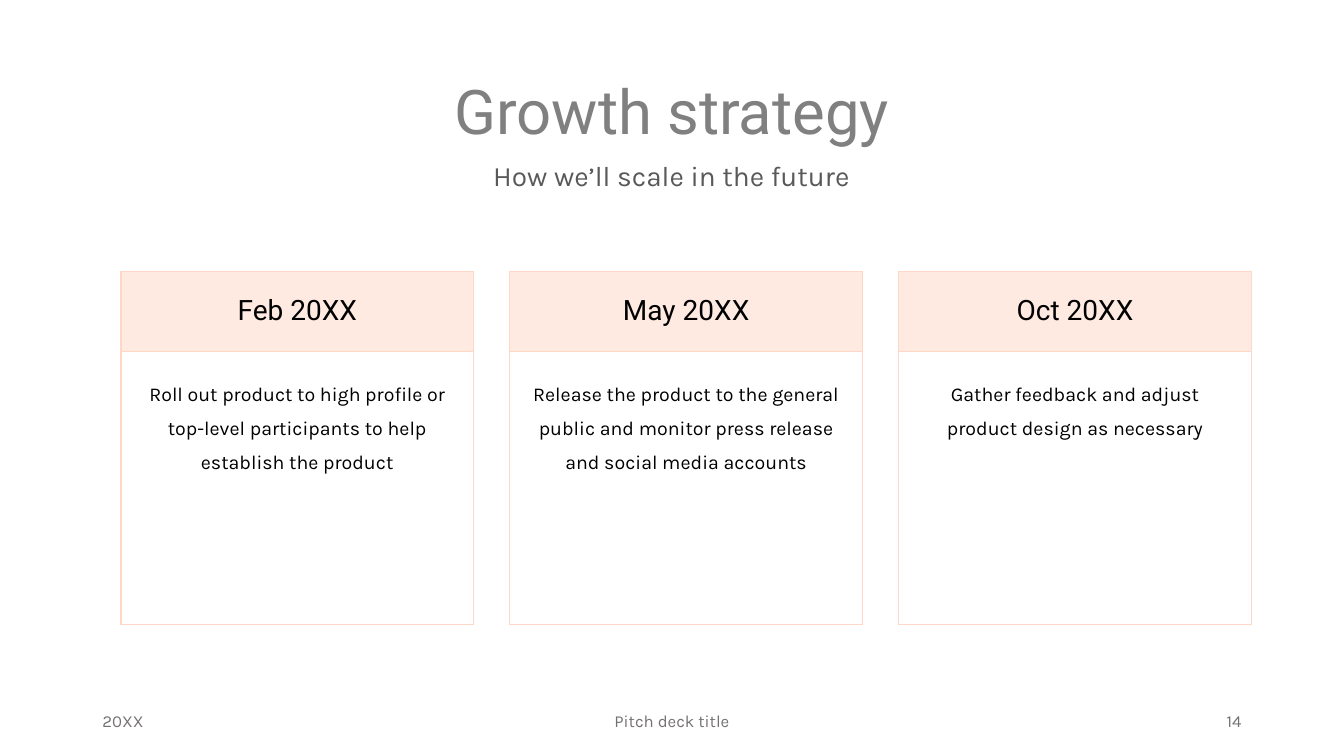
"""Builds the growth strategy slide with three dated milestones."""
from dataclasses import dataclass

from lxml.etree import SubElement
from pptx import Presentation
from pptx.dml.color import RGBColor
from pptx.enum.shapes import MSO_SHAPE
from pptx.enum.text import MSO_ANCHOR, MSO_AUTO_SIZE, PP_ALIGN
from pptx.oxml.ns import qn
from pptx.util import Cm, Pt


@dataclass(frozen=True)
class Theme:
    heading_font: str = "Roboto"
    text_font: str = "Karla"
    title_color: str = "808080"
    subtitle_color: str = "595959"
    card_color: str = "000000"
    footer_color: str = "767171"
    accent: str = "FFD7C7"
    accent_alpha: int = 50
    title_size: int = 44
    heading_size: int = 20
    card_size: int = 14
    footer_size: int = 12
    border: float = 0.75


class GrowthSlide:
    def __init__(self, deck, theme):
        self.theme = theme
        self.slide = deck.slides.add_slide(deck.slide_layouts[1])

    def place(self, item, box):
        for side, length in zip(("left", "top", "width", "height"), box):
            setattr(item, side, Cm(length))

    def set_text(self, item, text, font, size, color, align=PP_ALIGN.CENTER,
                 anchor=MSO_ANCHOR.TOP, spacing=0.9, insets=(0.25, 0.13, 0.25, 0.13)):
        frame = item.text_frame
        frame_format = {"word_wrap": True, "auto_size": MSO_AUTO_SIZE.NONE,
                        "vertical_anchor": anchor}
        for side, inset in zip(("left", "top", "right", "bottom"), insets):
            frame_format[f"margin_{side}"] = Cm(inset)
        for name, value in frame_format.items():
            setattr(frame, name, value)
        frame.text = text
        paragraph = frame.paragraphs[0]
        paragraph_format = {"alignment": align, "line_spacing": spacing,
                            "space_before": Pt(0)}
        for name, value in paragraph_format.items():
            setattr(paragraph, name, value)
        run_font = paragraph.runs[0].font
        for name, value in {"name": font, "size": Pt(size), "bold": False}.items():
            setattr(run_font, name, value)
        run_font.color.rgb = RGBColor.from_string(color)
        return paragraph

    def title(self, text, box):
        heading = self.slide.shapes.title
        self.place(heading, box)
        self.set_text(heading, text, self.theme.heading_font, self.theme.title_size,
                      self.theme.title_color, anchor=MSO_ANCHOR.BOTTOM,
                      insets=(0.25, 0.13, 0.25, 0.25))

    def subtitle(self, text, box):
        tagline = self.slide.placeholders[1]
        self.place(tagline, box)
        paragraph = self.set_text(tagline, text, self.theme.text_font,
                                  self.theme.heading_size, self.theme.subtitle_color)
        properties = paragraph._p.get_or_add_pPr()
        for name in ("marL", "indent"):
            properties.set(name, "0")
        SubElement(properties, qn("a:buNone"))

    def panel(self, box, filled):
        panel = self.slide.shapes.add_shape(MSO_SHAPE.RECTANGLE, *map(Cm, box))
        accent = RGBColor.from_string(self.theme.accent)
        panel.shadow.inherit = False
        panel.line.color.rgb = accent
        panel.line.width = Pt(self.theme.border)
        if filled:
            panel.fill.solid()
            panel.fill.fore_color.rgb = accent
            tint = panel.element.spPr.find(f"{qn('a:solidFill')}/{qn('a:srgbClr')}")
            SubElement(tint, qn("a:alpha"), val=str(self.theme.accent_alpha * 1000))
        else:
            panel.fill.background()
        return panel

    def milestone(self, date, plan, left, top, width, date_height, plan_height):
        header = self.panel((left, top, width, date_height), True)
        self.set_text(header, date, self.theme.heading_font, self.theme.heading_size,
                      self.theme.card_color, anchor=MSO_ANCHOR.MIDDLE)
        details = self.panel((left, top + date_height, width, plan_height), False)
        self.set_text(details, plan, self.theme.text_font, self.theme.card_size,
                      self.theme.card_color, spacing=Pt(24),
                      insets=(0.51, 0.51, 0.51, 0.13))

    def footer(self, text, box, align):
        note = self.slide.shapes.add_textbox(*map(Cm, box))
        self.set_text(note, text, self.theme.text_font, self.theme.footer_size,
                      self.theme.footer_color, align, MSO_ANCHOR.MIDDLE, 1.0)


def main():
    deck = Presentation()
    deck.slide_width, deck.slide_height = Cm(33.87), Cm(19.05)
    growth = GrowthSlide(deck, Theme())
    growth.title("Growth strategy", (2.33, 1.02, 29.21, 2.95))
    growth.subtitle("How we’ll scale in the future", (2.32, 3.97, 29.21, 1.27))

    milestones = (
        ("Feb 20XX", "Roll out product to high profile or top-level participants "
                     "to help establish the product"),
        ("May 20XX", "Release the product to the general public and monitor press "
                     "release and social media accounts"),
        ("Oct 20XX", "Gather feedback and adjust product design as necessary"),
    )
    first_left, pitch = 3.05, 9.8
    for index, (date, plan) in enumerate(milestones):
        growth.milestone(date, plan, first_left + index * pitch, 6.84, 8.89, 2.03, 6.86)

    footers = (
        ("20XX", 2.33, 7.62, PP_ALIGN.LEFT),
        ("Pitch deck title", 11.22, 11.43, PP_ALIGN.CENTER),
        ("14", 23.92, 7.62, PP_ALIGN.RIGHT),
    )
    for text, left, width, align in footers:
        growth.footer(text, (left, 17.65, width, 1.02), align)
    deck.save("out.pptx")


if __name__ == "__main__":
    main()
